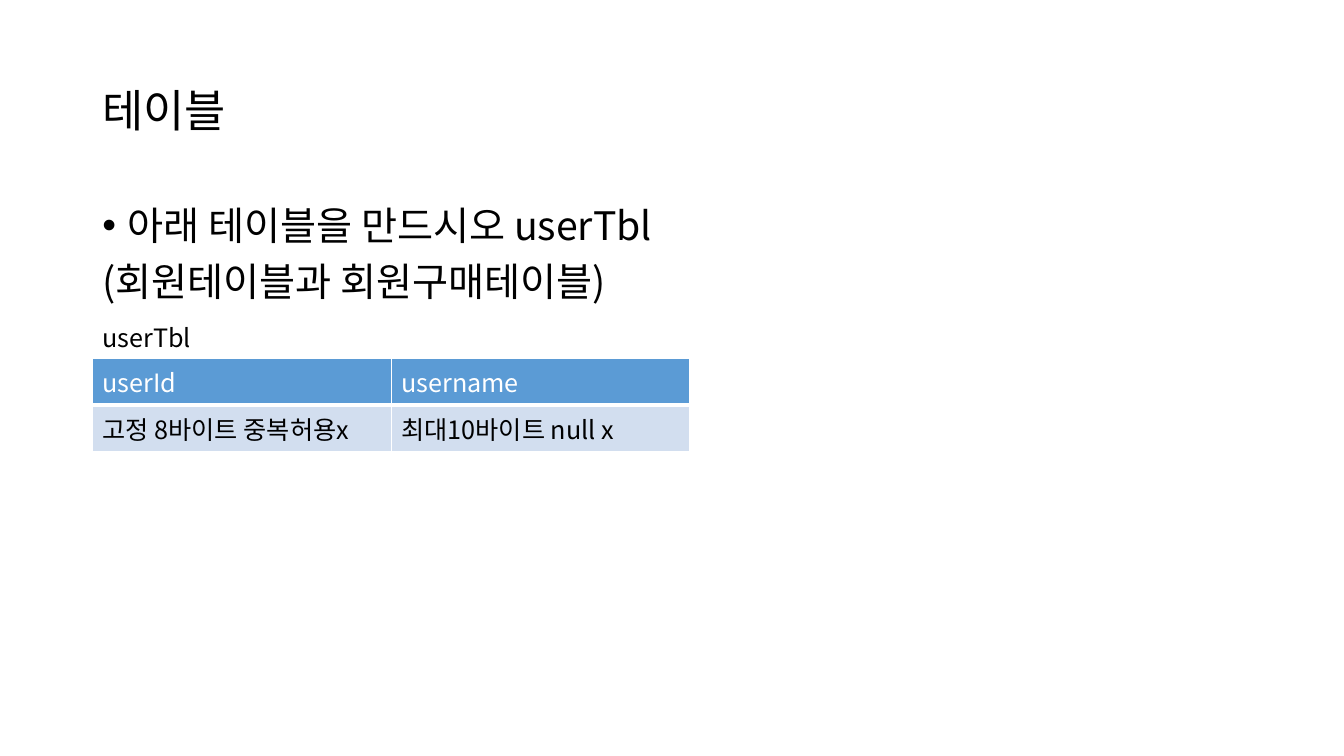
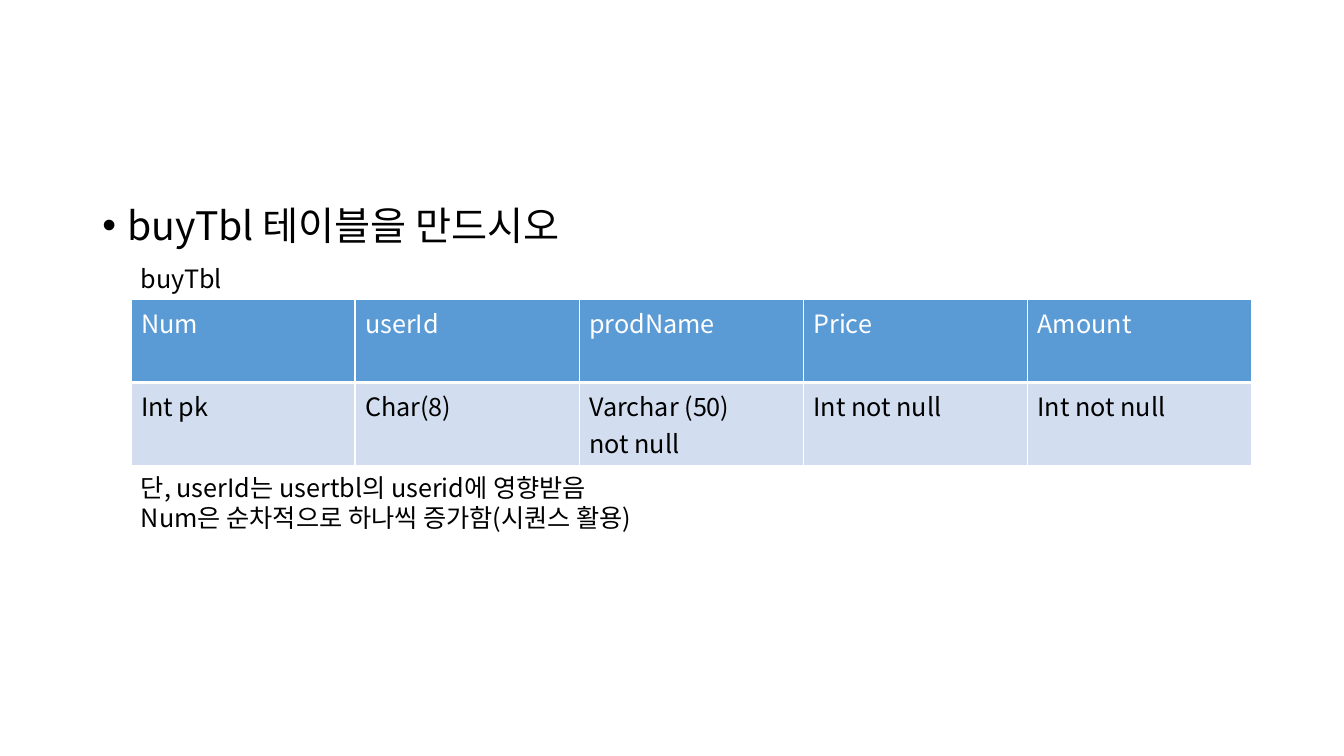
from lxml.etree import SubElement
from pptx import Presentation
from pptx.dml.color import RGBColor
from pptx.enum.text import MSO_ANCHOR as Anchor
from pptx.oxml import parse_xml
from pptx.oxml.ns import nsdecls, qn
from pptx.util import Cm, Pt

FONT = "Noto Sans CJK KR"
BLACK = RGBColor(0x00, 0x00, 0x00)
WHITE = RGBColor(0xFF, 0xFF, 0xFF)
HEADER_BLUE = RGBColor(0x5B, 0x9B, 0xD5)
ROW_BLUE = RGBColor(0xD2, 0xDE, 0xEF)

TITLE_BOX = (2.33, 1.01, 29.21, 3.68)
BODY_BOX = (2.33, 5.07, 29.21, 12.09)
LABEL_SIZE = (16.93, 1.03)
NOTE_SIZE = (16.93, 1.79)

TITLE_STYLE = {"size": 32, "spacing": {"line_spacing": 0.9}}
BODY_STYLE = {"size": 28, "spacing": {"line_spacing": 0.9, "space_before": Pt(10)}}
PLAIN_STYLE = {"size": 18, "spacing": {}}

# Table places are left, top, width and row height in centimetres.
SLIDES = [
    {
        "title": ["테이블"],
        "body": ["아래 테이블을 만드시오 userTbl", "(회원테이블과 회원구매테이블)"],
        "label": ["userTbl"],
        "place": (2.33, 9.03, 15.06, 1.17),
        "rows": [
            ["userId", "username"],
            ["고정 8바이트 중복허용x", "최대10바이트 null x"],
        ],
    },
    {
        "body": ["buyTbl 테이블을 만드시오"],
        "label": ["buyTbl"],
        "place": (3.3, 7.55, 28.24, 2.09),
        "rows": [
            ["Num", "userId", "prodName", "Price", "Amount"],
            ["Int pk", "Char(8)", "Varchar (50)\nnot null", "Int not null", "Int not null"],
        ],
        "note": ["단, userId는 usertbl의 userid에 영향받음",
                 "Num은 순차적으로 하나씩 증가함(시퀀스 활용)"],
        "note_top": 11.78,
    },
]


def write(frame, lines, style, color=BLACK):
    """Fill a text frame with one styled paragraph per line."""
    frame.word_wrap = True
    for number, line in enumerate(lines):
        paragraph = frame.add_paragraph() if number else frame.paragraphs[0]
        for name, value in style["spacing"].items():
            setattr(paragraph, name, value)
        run = paragraph.add_run()
        run.text = line
        font_values = {"name": FONT, "size": Pt(style["size"]), "bold": False}
        for name, value in font_values.items():
            setattr(run.font, name, value)
        run.font.color.rgb = color
        SubElement(run.font._element, qn("a:ea"), typeface=FONT)


def add_text(slide, box, lines, style):
    """Add a text box at the given place and return its frame."""
    frame = slide.shapes.add_textbox(*map(Cm, box)).text_frame
    write(frame, lines, style)
    return frame


def add_bullet(paragraph):
    """Give a paragraph a hanging round bullet."""
    properties = paragraph._p.get_or_add_pPr()
    properties.set("marL", str(Cm(0.64)))
    properties.set("indent", str(-Cm(0.64)))
    SubElement(properties, qn("a:buFont"), typeface="Arial")
    SubElement(properties, qn("a:buChar"), char="•")


def add_borders(cell, bottom):
    """Draw white cell borders, with the bottom width in points."""
    widths = {"lnL": 1, "lnR": 1, "lnT": 1, "lnB": bottom}
    for position, (side, width) in enumerate(widths.items()):
        line = parse_xml(
            f'<a:{side} {nsdecls("a")} w="{Pt(width)}"><a:solidFill>'
            f'<a:srgbClr val="{WHITE}"/></a:solidFill></a:{side}>')
        cell._tc.get_or_add_tcPr().insert(position, line)


def add_grid(slide, place, rows):
    """Add a table with a header row and equal columns."""
    left, top, width, row_height = place
    box = map(Cm, (left, top, width, row_height * len(rows)))
    table = slide.shapes.add_table(len(rows), len(rows[0]), *box).table
    for row_number, row in enumerate(rows):
        header = row_number == 0
        for column_number, content in enumerate(row):
            cell = table.cell(row_number, column_number)
            cell.fill.solid()
            cell.fill.fore_color.rgb = HEADER_BLUE if header else ROW_BLUE
            add_borders(cell, 3 if header else 1)
            write(cell.text_frame, content.split("\n"), PLAIN_STYLE,
                  WHITE if header else BLACK)


def build_slide(deck, content):
    """Build one exercise slide from its content."""
    slide = deck.slides.add_slide(deck.slide_layouts[6])
    if "title" in content:
        title = add_text(slide, TITLE_BOX, content["title"], TITLE_STYLE)
        title.vertical_anchor = Anchor.MIDDLE
    body = add_text(slide, BODY_BOX, content["body"], BODY_STYLE)
    add_bullet(body.paragraphs[0])
    left, top = content["place"][:2]
    add_grid(slide, content["place"], content["rows"])
    add_text(slide, (left, top - LABEL_SIZE[1], *LABEL_SIZE), content["label"], PLAIN_STYLE)
    if "note" in content:
        add_text(slide, (left, content["note_top"], *NOTE_SIZE), content["note"], PLAIN_STYLE)


deck = Presentation()
deck.slide_width, deck.slide_height = Cm(33.87), Cm(19.05)
for content in SLIDES:
    build_slide(deck, content)
deck.save("out.pptx")
